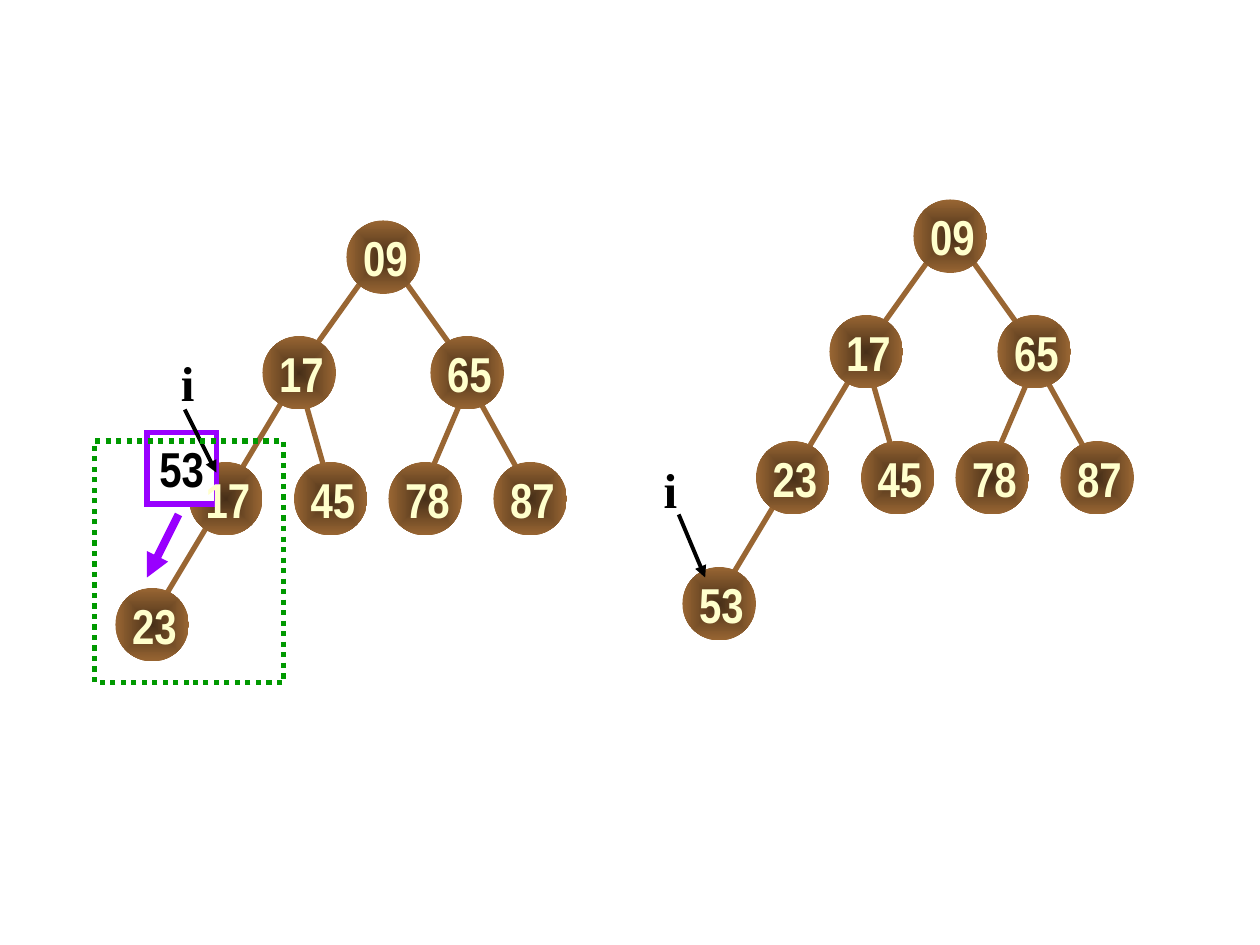
from lxml import etree
from pptx import Presentation
from pptx.dml.color import RGBColor
from pptx.enum.dml import MSO_LINE
from pptx.enum.shapes import MSO_CONNECTOR, MSO_SHAPE
from pptx.enum.text import MSO_ANCHOR, MSO_AUTO_SIZE, PP_ALIGN
from pptx.oxml.ns import qn
from pptx.util import Inches, Pt

OVAL, RECT = MSO_SHAPE.OVAL, MSO_SHAPE.RECTANGLE
LINE, DOTS = MSO_CONNECTOR.STRAIGHT, MSO_LINE.ROUND_DOT
MIDDLE, CENTER = MSO_ANCHOR.MIDDLE, PP_ALIGN.CENTER
GROW = MSO_AUTO_SIZE.SHAPE_TO_FIT_TEXT

BROWN = RGBColor(0x99, 0x66, 0x33)
DARK = RGBColor(0x47, 0x2F, 0x18)
CREAM = RGBColor(0xFF, 0xFF, 0xCC)
WHITE = RGBColor(0xFF, 0xFF, 0xFF)
BLACK = RGBColor(0, 0, 0)
PURPLE = RGBColor(0x99, 0, 0xFF)
GREEN = RGBColor(0, 0x99, 0)

SANS, SERIF = "Arial Narrow", "Times New Roman"
UNIT = Inches(1) / 12
DISC = 7
WIDE, HIGH = 6.6, 6.8
SPOTS = [(22, 0), (14, 11), (30, 11), (7, 23), (17, 23), (26, 23), (36, 23), (0, 35)]
EDGES = [
    (34, 16, 39, 25), (33, 17, 30, 24), (27, 5, 32, 12),
    (18, 17, 20, 24), (24, 5, 19, 12), (16, 17, 4, 37),
]


def place(box, x, y):
    return round((box[0] + x) * UNIT), round((box[1] + y) * UNIT)


def frame(box, x, y, w, h):
    return *place(box, x, y), round(w * UNIT), round(h * UNIT)


def draw(shapes, box, ends, color, width, arrow=False):
    line = shapes.add_connector(LINE, *place(box, *ends[:2]), *place(box, *ends[2:]))
    line.line.color.rgb = color
    line.line.width = Pt(width)
    etree.SubElement(line._element.spPr, qn("a:effectLst"))
    if arrow:
        etree.SubElement(line.line._get_or_add_ln(), qn("a:tailEnd"), type="triangle")


def write(shape, text, color, font=SANS):
    body = shape.text_frame
    body.text = text
    body.word_wrap = False
    body.auto_size = GROW
    body.vertical_anchor = MIDDLE
    body.margin_left = body.margin_right = 0
    par = body.paragraphs[0]
    par.alignment = CENTER
    face = par.runs[0].font
    face.name, face.size, face.bold = font, Pt(28), True
    face.color.rgb = color


def label(shapes, box, spot, text, color=CREAM, font=SANS, wide=WIDE):
    write(shapes.add_textbox(*frame(box, *spot, wide, HIGH)), text, color, font)


def disc(shapes, box, spot):
    ball = shapes.add_shape(OVAL, *frame(box, *spot, DISC, DISC))
    ball.shadow.inherit = False
    ball.line.fill.background()
    ball.fill.gradient()
    for stop, color in zip(ball.fill.gradient_stops, (DARK, BROWN)):
        stop.color.rgb = color
    grad = ball._element.spPr.find(qn("a:gradFill"))
    grad.remove(grad.find(qn("a:lin")))
    blend = etree.SubElement(grad, qn("a:path"), path="rect")
    etree.SubElement(blend, qn("a:fillToRect"), l="50000", t="50000", r="50000", b="50000")


def tree(shapes, box):
    for ends in EDGES:
        draw(shapes, box, ends, BROWN, 3)
    for spot in SPOTS:
        disc(shapes, box, spot)


def fill_in(shapes, box, keys):
    for (x, y), key in zip(SPOTS, keys):
        label(shapes, box, (x + DISC - WIDE, y + 0.1), key)


def index(shapes, box, spot, ends):
    draw(shapes, box, ends, BLACK, 2.25, True)
    label(shapes, box, spot, "i", BLACK, SERIF, 3.72)


def panel(shapes, box, size, color):
    rect = shapes.add_shape(RECT, *frame(box, *size))
    rect.shadow.inherit = False
    rect.fill.background()
    rect.line.color.rgb = color
    rect.line.width = Pt(3)
    etree.SubElement(rect.line._get_or_add_ln(), qn("a:miter"), lim="800000")
    return rect


def before(shapes, box):
    tree(shapes, box)
    held = panel(shapes, box, (3, 20.2, WIDE, HIGH), PURPLE)
    held.fill.solid()
    held.fill.fore_color.rgb = WHITE
    write(held, "53", BLACK)
    index(shapes, box, (5, 12), (6.6, 18, 9.6, 24))
    panel(shapes, box, (-2, 21, 18, 23), GREEN).line.dash_style = DOTS
    draw(shapes, box, (6, 28, 3, 34), PURPLE, 4.5, True)
    fill_in(shapes, box, ["09", "17", "65", "17", "45", "78", "87", "23"])


def after(shapes, box):
    group = shapes.add_group_shape().shapes
    tree(group, box)
    fill_in(group, box, ["09", "17", "65", "23", "45", "78", "87", "53"])
    index(group, box, (-3, 24.2), (-0.36, 30, 2.16, 36))


def main():
    deck = Presentation()
    deck.slide_width, deck.slide_height = Inches(10), Inches(7.5)
    slide = deck.slides.add_slide(deck.slide_layouts[6])
    before(slide.shapes, (11, 21))
    after(slide.shapes, (65, 19))
    deck.save("out.pptx")


if __name__ == "__main__":
    main()
